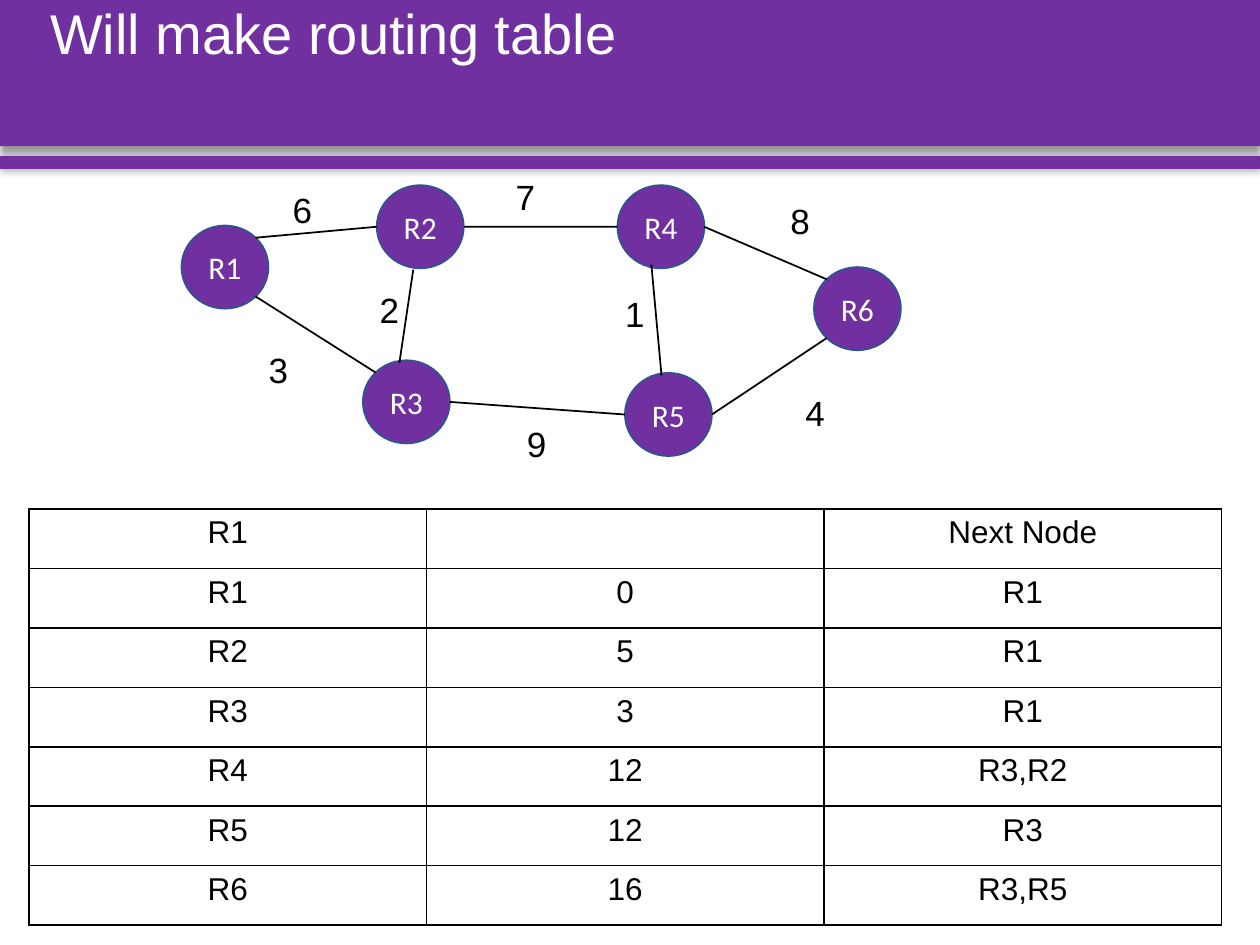
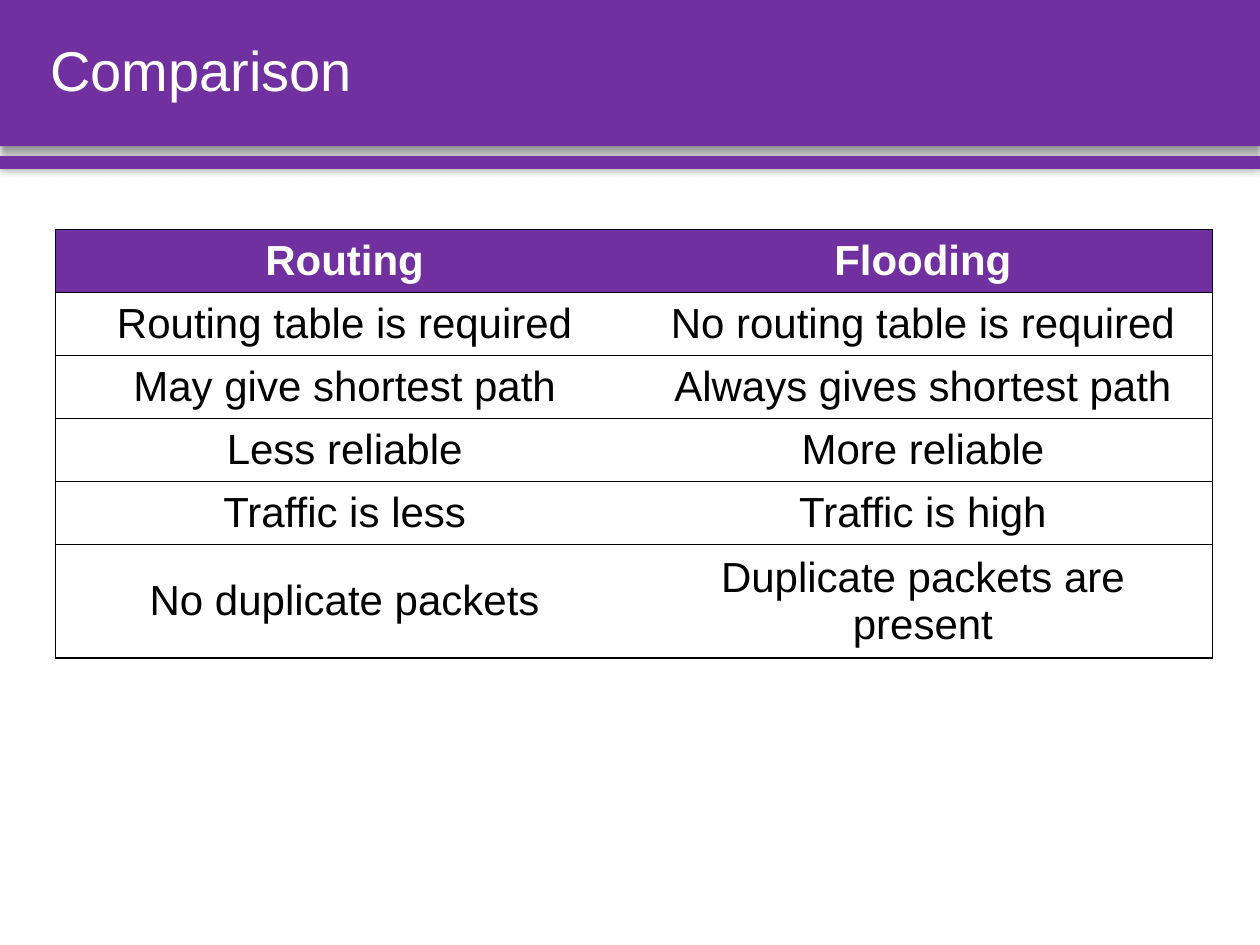
import math

import pptx
import pptx.util
import pptx.dml.color
import pptx.enum.shapes
import pptx.enum.text
import pptx.oxml
import pptx.oxml.ns

Inches = pptx.util.Inches
Pt = pptx.util.Pt
RGBColor = pptx.dml.color.RGBColor
Shape = pptx.enum.shapes.MSO_SHAPE
Anchor = pptx.enum.text.MSO_ANCHOR
Align = pptx.enum.text.PP_ALIGN
NAMESPACE = pptx.oxml.ns.nsdecls("a")

# Shared colours and text formats
PURPLE = RGBColor(0x70, 0x30, 0xA0)
NODE_EDGE = RGBColor(0x31, 0x53, 0x8F)
BLACK = RGBColor(0, 0, 0)
WHITE = RGBColor(0xFF, 0xFF, 0xFF)

TITLE_FORMAT = {"name": "Arial", "size": Pt(32), "color": WHITE}
NODE_FORMAT = {"name": "Calibri", "size": Pt(18), "color": WHITE}
COST_FORMAT = {"name": "Arial", "size": Pt(20), "color": BLACK}
ROUTING_FORMAT = {"name": "Arial", "size": Pt(18), "color": BLACK}
COMPARISON_FORMAT = {"name": "Arial", "size": Pt(24), "color": BLACK}
HEADER_FORMAT = {**COMPARISON_FORMAT, "color": WHITE, "bold": True}

# Network of routers: top left corners, links by angle on each node, costs
NODE_WIDTH, NODE_HEIGHT = 0.69, 0.66
NODES = {"R1": (1.44, 1.79), "R2": (2.99, 1.47), "R4": (4.9, 1.47),
         "R6": (6.46, 2.12), "R3": (2.88, 2.86), "R5": (4.96, 2.96)}
LINKS = [("R1", 45, "R2", 180), ("R1", -45, "R3", 135), ("R3", 0, "R5", 180),
         ("R2", 0, "R4", 180), ("R4", 0, "R6", 135), ("R5", 0, "R6", -135)]
CROSS_LINKS = [((3.17, 2.88), (3.28, 2.14)), ((5.25, 2.98), (5.17, 2.1))]
COSTS = [("6", 2.12, 1.47), ("7", 3.89, 1.37), ("8", 6.07, 1.56),
         ("4", 6.19, 3.08), ("9", 3.98, 3.33), ("3", 1.93, 2.74),
         ("2", 2.81, 2.27), ("1", 4.76, 2.3)]

ROUTING_ROWS = [("R1", "", "Next Node"), ("R1", "0", "R1"), ("R2", "5", "R1"),
                ("R3", "3", "R1"), ("R4", "12", "R3,R2"), ("R5", "12", "R3"),
                ("R6", "16", "R3,R5")]
COMPARISON_ROWS = [("Routing", "Flooding"),
                   ("Routing table is required", "No routing table is required"),
                   ("May give shortest path", "Always gives shortest path"),
                   ("Less reliable", "More reliable"),
                   ("Traffic is less", "Traffic is high"),
                   ("No duplicate packets", "Duplicate packets are present")]


def write(para, text, text_format, align=Align.CENTER):
    para.alignment = align
    span = para.add_run()
    span.text = text
    for key, value in text_format.items():
        if key == "color":
            span.font.color.rgb = value
        else:
            setattr(span.font, key, value)


def add_text(page, text, left, top, width, height, text_format,
             align=Align.CENTER, anchor=Anchor.MIDDLE):
    box = page.shapes.add_textbox(Inches(left), Inches(top),
                                  Inches(width), Inches(height))
    box.text_frame.word_wrap = True
    box.text_frame.vertical_anchor = anchor
    write(box.text_frame.paragraphs[0], text, text_format, align)
    return box


def add_band(page, top, height, blur, distance, direction):
    band = page.shapes.add_shape(Shape.RECTANGLE, 0, Inches(top),
                                 Inches(10), Inches(height))
    band.fill.solid()
    band.fill.fore_color.rgb = PURPLE
    band.line.fill.background()
    band._element.spPr.append(pptx.oxml.parse_xml(
        f'<a:effectLst {NAMESPACE}><a:outerShdw blurRad="{Pt(blur)}" '
        f'dist="{Pt(distance)}" dir="{direction * 60000}" rotWithShape="0">'
        f'<a:srgbClr val="{BLACK}"><a:alpha val="40000"/></a:srgbClr>'
        '</a:outerShdw></a:effectLst>'))


def add_page(deck, title, anchor=Anchor.MIDDLE):
    page = deck.slides.add_slide(deck.slide_layouts[6])
    add_band(page, 0, 1.16, blur=4, distance=3, direction=90)
    add_band(page, 1.24, 0.1, blur=5, distance=0, direction=0)
    box = add_text(page, title, 0.3, 0, 9.46, 1.16, TITLE_FORMAT,
                   Align.LEFT, anchor)
    box.text_frame.paragraphs[0].line_spacing = 0.9
    return page


def add_node(page, name):
    left, top = NODES[name]
    node = page.shapes.add_shape(Shape.FLOWCHART_CONNECTOR, Inches(left),
                                 Inches(top), Inches(NODE_WIDTH),
                                 Inches(NODE_HEIGHT))
    node.shadow.inherit = False
    node.fill.solid()
    node.fill.fore_color.rgb = PURPLE
    node.line.color.rgb = NODE_EDGE
    node.line.width = Pt(1)
    node.text_frame.vertical_anchor = Anchor.MIDDLE
    write(node.text_frame.paragraphs[0], name, NODE_FORMAT)


def rim_point(name, degrees):
    """Point on a node's outline, counter-clockwise from its right side."""
    left, top = NODES[name]
    angle = math.radians(degrees)
    return (left + NODE_WIDTH / 2 * (1 + math.cos(angle)),
            top + NODE_HEIGHT / 2 * (1 - math.sin(angle)))


def add_link(page, start, end):
    link = page.shapes.add_connector(
        pptx.enum.shapes.MSO_CONNECTOR.STRAIGHT,
        *(Inches(length) for length in (*start, *end)))
    link.line.color.rgb = BLACK
    link.line.width = Pt(1)
    link._element.spPr.append(
        pptx.oxml.parse_xml(f"<a:effectLst {NAMESPACE}/>"))


def set_borders(cell, width, hidden=()):
    properties = cell._tc.get_or_add_tcPr()
    for side in "LRTB":
        paint = ("<a:noFill/>" if side in hidden else
                 f'<a:solidFill><a:srgbClr val="{BLACK}"/></a:solidFill>')
        properties.append(pptx.oxml.parse_xml(
            f'<a:ln{side} {NAMESPACE} w="{Pt(width)}">{paint}</a:ln{side}>'))


def add_grid(page, rows, left, top, column_width, heights, border, text_format,
             header_format=None, dividers=True, anchor=Anchor.TOP, margin=0.1):
    columns = len(rows[0])
    table = page.shapes.add_table(
        len(rows), columns, Inches(left), Inches(top),
        Inches(column_width * columns), Inches(sum(heights))).table
    table.first_row = table.horz_banding = False
    for column in table.columns:
        column.width = Inches(column_width)
    for r, (texts, height) in enumerate(zip(rows, heights)):
        table.rows[r].height = Inches(height)
        is_header = header_format is not None and r == 0
        for c, text in enumerate(texts):
            cell = table.cell(r, c)
            hidden = "" if dividers else "R" * (c < columns - 1) + "L" * (c > 0)
            set_borders(cell, border, hidden)
            cell.vertical_anchor = anchor
            cell.margin_left = cell.margin_right = Inches(margin)
            if is_header:
                cell.fill.solid()
                cell.fill.fore_color.rgb = PURPLE
            else:
                cell.fill.background()
            if text:
                write(cell.text_frame.paragraphs[0], text,
                      header_format if is_header else text_format)


def main():
    deck = pptx.Presentation()
    deck.slide_width, deck.slide_height = Inches(10), Inches(7.5)

    # Routing table with its network
    page = add_page(deck, "Will make routing table", Anchor.TOP)
    add_grid(page, ROUTING_ROWS, 0.23, 4.04, 3.155, [0.472] * 7, 1,
             ROUTING_FORMAT, margin=0.17)
    for name in NODES:
        add_node(page, name)
    for first, first_angle, second, second_angle in LINKS:
        add_link(page, rim_point(first, first_angle),
                 rim_point(second, second_angle))
    for start, end in CROSS_LINKS:
        add_link(page, start, end)
    for cost, left, top in COSTS:
        add_text(page, cost, left, top, 0.56, 0.38, COST_FORMAT)

    # Routing against flooding
    page = add_page(deck, "Comparison")
    add_grid(page, COMPARISON_ROWS, 0.44, 1.82, 4.59, [0.47] * 5 + [0.84],
             0.75, COMPARISON_FORMAT, HEADER_FORMAT, dividers=False,
             anchor=Anchor.MIDDLE)

    deck.save("out.pptx")


if __name__ == "__main__":
    main()
